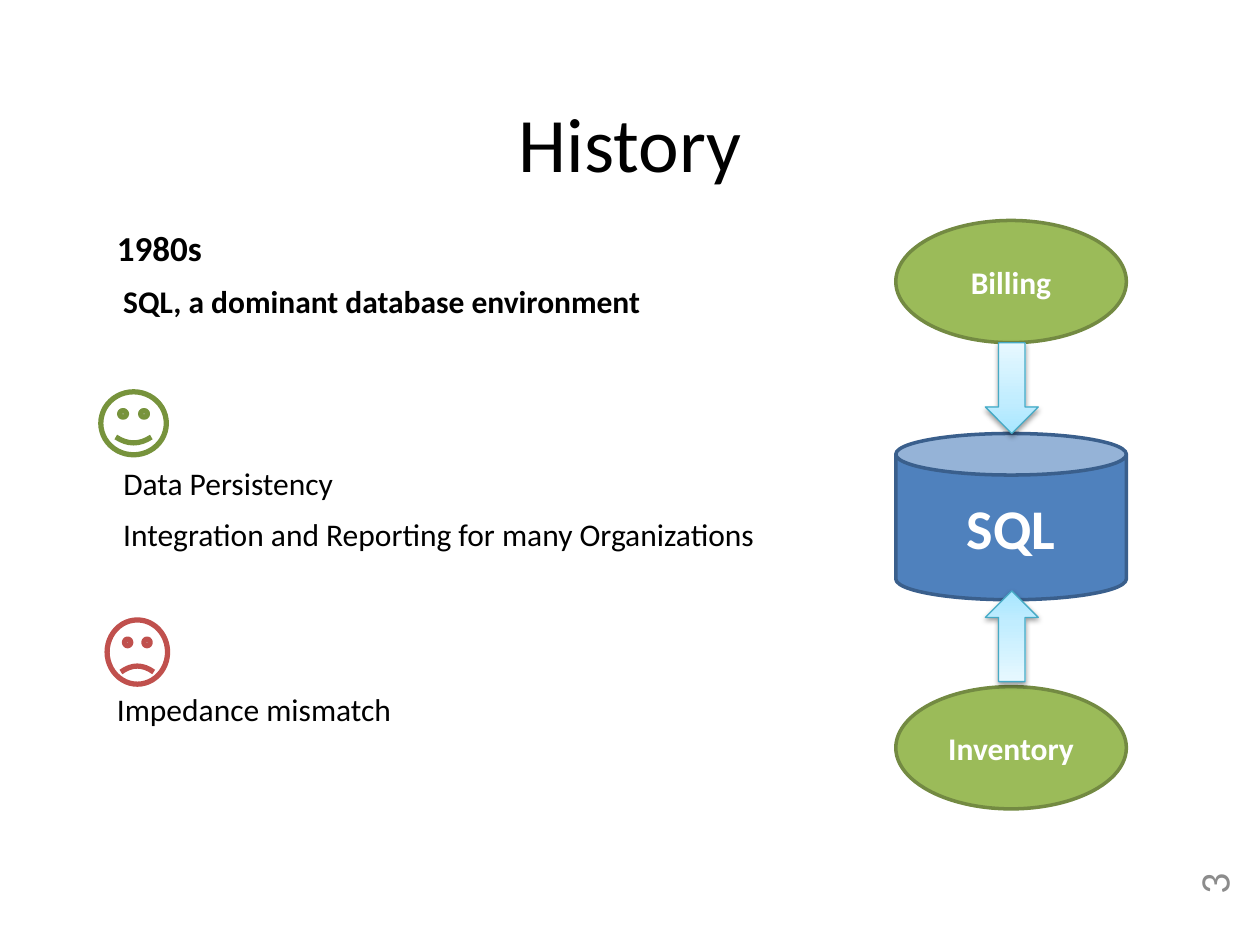
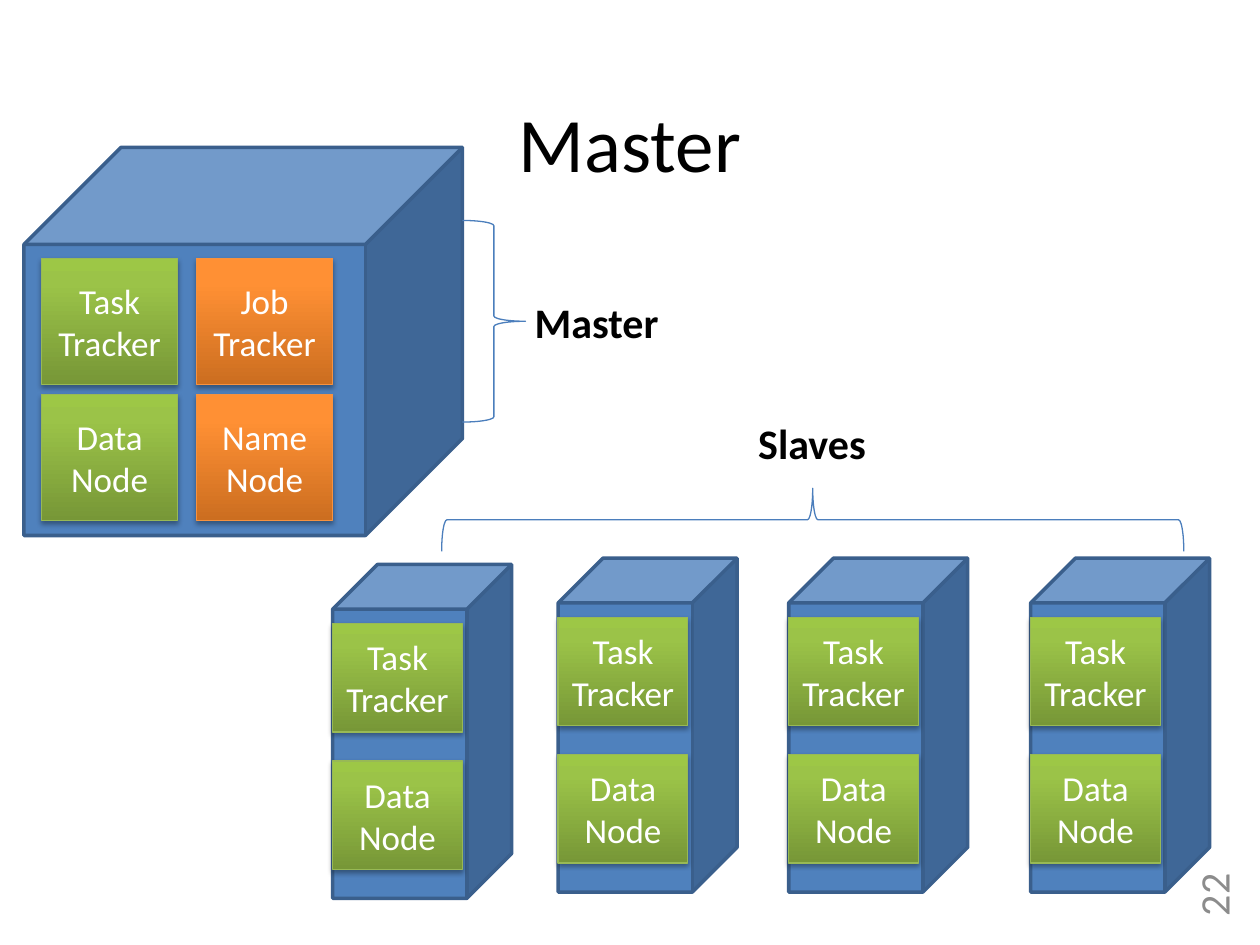
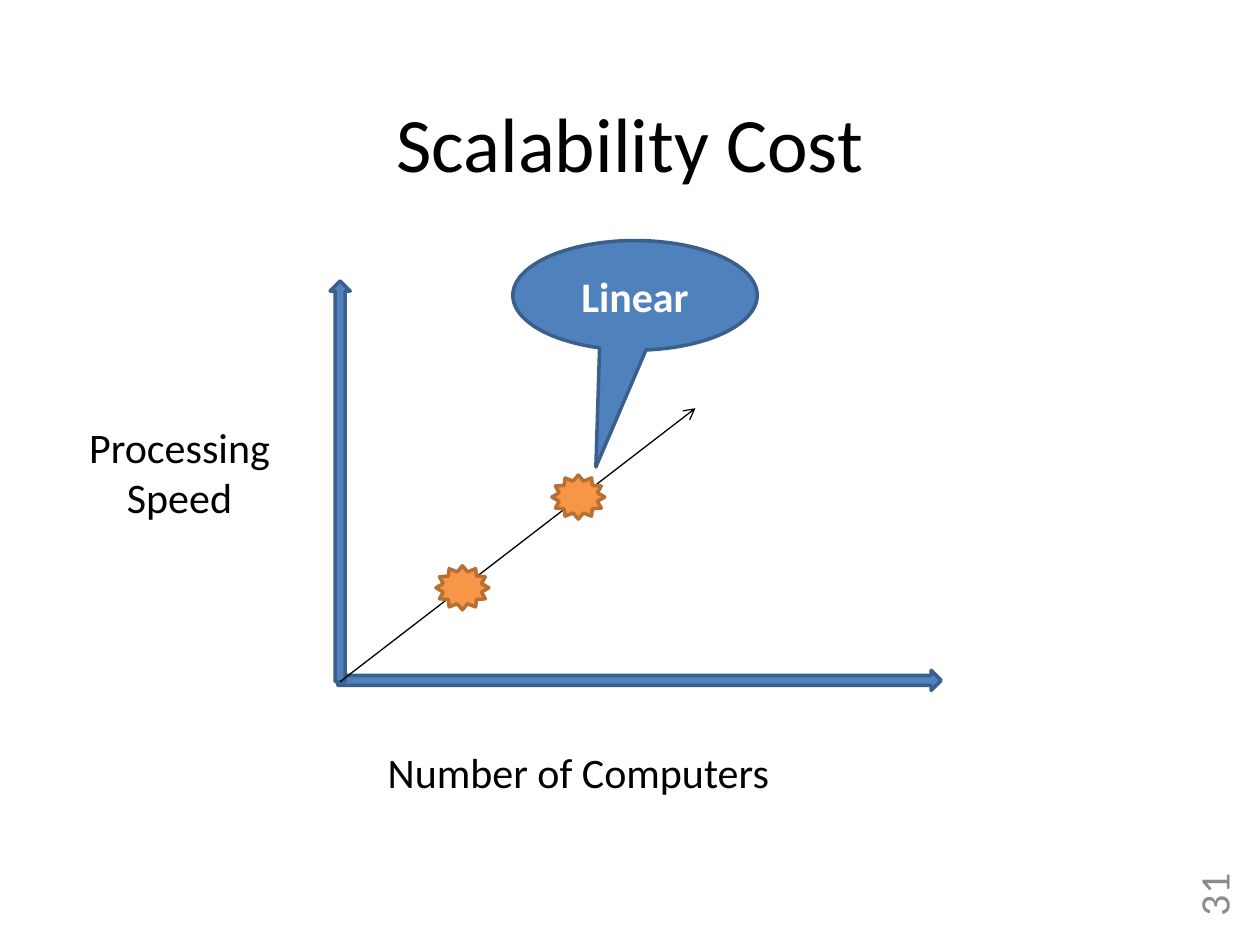
from dataclasses import dataclass
from typing import Any, NamedTuple

from lxml.etree import SubElement
from pptx import Presentation
from pptx.dml.color import RGBColor
from pptx.enum.shapes import MSO_CONNECTOR, MSO_SHAPE
from pptx.enum.text import MSO_ANCHOR, MSO_AUTO_SIZE, PP_ALIGN
from pptx.oxml.ns import qn
from pptx.util import Inches, Pt


class Box(NamedTuple):
    left: float
    top: float
    width: float
    height: float


class Stop(NamedTuple):
    percent: int
    color: str


@dataclass(frozen=True)
class Look:
    line: str
    weight: float
    fill: str | tuple[Stop, ...] | None = None
    shadow_percent: int = 0


@dataclass(frozen=True)
class TextStyle:
    size: int
    color: str = "000000"
    bold: bool = False
    align: PP_ALIGN = PP_ALIGN.CENTER
    anchor: MSO_ANCHOR = MSO_ANCHOR.MIDDLE


@dataclass(frozen=True)
class Theme:
    font: str = "Calibri"
    title: TextStyle = TextStyle(44)
    number: TextStyle = TextStyle(24, "8C8C8C", align=PP_ALIGN.RIGHT)
    heading: TextStyle = TextStyle(20, bold=True, align=PP_ALIGN.LEFT, anchor=MSO_ANCHOR.TOP)
    strong: TextStyle = TextStyle(18, bold=True, align=PP_ALIGN.LEFT, anchor=MSO_ANCHOR.TOP)
    body: TextStyle = TextStyle(18, align=PP_ALIGN.LEFT, anchor=MSO_ANCHOR.TOP)
    label: TextStyle = TextStyle(24)
    strong_label: TextStyle = TextStyle(24, bold=True)
    database: TextStyle = TextStyle(32, "FFFFFF", True)
    callout: TextStyle = TextStyle(24, "FFFFFF", True)
    application: TextStyle = TextStyle(18, "FFFFFF", True)
    tile: TextStyle = TextStyle(20, "FFFFFF")
    blue: Look = Look("3A5F8C", 2, "4F81BD")
    green: Look = Look("738A42", 2, "9BBB59")
    orange: Look = Look("B76F34", 2, "F79646")
    happy: Look = Look("77933C", 3, "FFFFFF")
    sad: Look = Look("C0504D", 3, "FFFFFF")
    brace: Look = Look("4B7EBC", 0.75)
    flow: Look = Look(
        "46AAC5", 0.75, (Stop(0, "A7E6FF"), Stop(35, "C1EDFF"), Stop(100, "E7F8FF")), 38)
    green_tile: Look = Look(
        "98B955", 0.75, (Stop(0, "779737"), Stop(80, "9BC348"), Stop(100, "9DC746")), 35)
    orange_tile: Look = Look(
        "F69240", 0.75, (Stop(0, "CC6E20"), Stop(80, "FF9034"), Stop(100, "FF9136")), 35)
    trend: str = "000000"


THEME = Theme()
TITLE_BOX = Box(0.5, 0.5, 9, 1.25)
NUMBER_BOX = Box(9.29, 6.96, 0.67, 0.42)


def apply(target: Any, values: dict[str, Any]) -> None:
    for name, value in values.items():
        setattr(target, name, value)


def place(shape: Any, box: Box) -> None:
    apply(shape, {name: Inches(value) for name, value in box._asdict().items()})


def write(shape: Any, text: str, style: TextStyle, **frame_values: Any) -> None:
    frame = shape.text_frame
    apply(frame, {"text": text, "word_wrap": True, "vertical_anchor": style.anchor}
          | frame_values)
    paragraph = frame.paragraphs[0]
    paragraph.alignment = style.align
    font = paragraph.runs[0].font
    apply(font, {"name": THEME.font, "size": Pt(style.size), "bold": style.bold})
    font.color.rgb = RGBColor.from_string(style.color)


def add_color(parent: Any, color: str) -> Any:
    return SubElement(parent, qn("a:srgbClr"), val=color)


def fill_gradient(shape: Any, stops: tuple[Stop, ...]) -> None:
    """Fill from the bottom edge (0 percent) to the top edge."""
    shape.fill.gradient()
    shape.fill.gradient_angle = 90
    stop_list = shape._element.spPr.find(f"{qn('a:gradFill')}/{qn('a:gsLst')}")
    for old_stop in list(stop_list):
        stop_list.remove(old_stop)
    for stop in stops:
        add_color(SubElement(stop_list, qn("a:gs"), pos=str(stop.percent * 1000)), stop.color)


def add_shadow(shape: Any, percent: int) -> None:
    effects = shape._element.spPr.find(qn("a:effectLst"))
    shadow = SubElement(effects, qn("a:outerShdw"), blurRad=str(Pt(3.1)), dist=str(Pt(1.7)),
                        dir="5400000", rotWithShape="0")
    SubElement(add_color(shadow, "000000"), qn("a:alpha"), val=str(percent * 1000))


def add_figure(parent: Any, kind: MSO_SHAPE, box: Box, look: Look,
               rotation: float = 0, adjustments: tuple[float, ...] = ()) -> Any:
    shape = parent.shapes.add_shape(kind, *map(Inches, box))
    shape.rotation = rotation
    for index, value in enumerate(adjustments):
        shape.adjustments[index] = value
    if look.fill is None:
        shape.fill.background()
    elif isinstance(look.fill, str):
        shape.fill.solid()
        shape.fill.fore_color.rgb = RGBColor.from_string(look.fill)
    else:
        fill_gradient(shape, look.fill)
    shape.line.color.rgb = RGBColor.from_string(look.line)
    shape.line.width = Pt(look.weight)
    shape.shadow.inherit = False
    if look.shadow_percent:
        add_shadow(shape, look.shadow_percent)
    return shape


def add_text(slide: Any, text: str, box: Box, style: TextStyle, **frame_values: Any) -> Any:
    shape = slide.shapes.add_textbox(*map(Inches, box))
    write(shape, text, style, **frame_values)
    return shape


def add_slide(presentation: Any, title: str, number: int) -> Any:
    slide = presentation.slides.add_slide(presentation.slide_layouts.get_by_name("Title Only"))
    place(slide.shapes.title, TITLE_BOX)
    write(slide.shapes.title, title, THEME.title)
    add_text(slide, str(number), NUMBER_BOX, THEME.number).rotation = 270
    return slide


def add_tile(group: Any, text: str, box: Box, look: Look) -> None:
    tile = add_figure(group, MSO_SHAPE.RECTANGLE, box, look)
    write(tile, text, THEME.tile, margin_left=Inches(0.05), margin_right=Inches(0.05))


def build_history(presentation: Any) -> None:
    slide = add_slide(presentation, "History", 3)
    add_text(slide, "1980s", Box(0.83, 1.75, 8.25, 0.44), THEME.heading)
    for text, box, style in (
        ("SQL, a dominant database environment", Box(0.88, 2.19, 4.34, 0.4), THEME.strong),
        ("Data Persistency", Box(0.88, 3.63, 1.88, 0.4), THEME.body),
        ("Integration and Reporting for many Organizations",
         Box(0.88, 4.04, 5.27, 0.4), THEME.body),
        ("Impedance mismatch", Box(0.83, 5.43, 2.4, 0.4), THEME.body),
    ):
        add_text(slide, text, box, style, word_wrap=False,
                 auto_size=MSO_AUTO_SIZE.SHAPE_TO_FIT_TEXT)
    add_figure(slide, MSO_SHAPE.SMILEY_FACE, Box(0.8, 3.11, 0.52, 0.5), THEME.happy)
    add_figure(slide, MSO_SHAPE.SMILEY_FACE, Box(0.85, 4.92, 0.48, 0.51), THEME.sad,
               adjustments=(-0.047,))

    database = add_figure(slide, MSO_SHAPE.CAN, Box(7.11, 3.44, 1.83, 1.32), THEME.blue)
    write(database, "SQL", THEME.database)
    for text, top, arrow_top, rotation in (("Billing", 1.75, 2.72, 0),
                                           ("Inventory", 5.45, 4.69, 180)):
        application = add_figure(slide, MSO_SHAPE.OVAL, Box(7.11, top, 1.83, 0.97), THEME.green)
        write(application, text, THEME.application)
        add_figure(slide, MSO_SHAPE.DOWN_ARROW, Box(7.82, arrow_top, 0.42, 0.72),
                   THEME.flow, rotation)


def add_slave(slide: Any, left: float, top: float) -> None:
    group = slide.shapes.add_group_shape()
    add_figure(group, MSO_SHAPE.CUBE, Box(left, top, 1.42, 2.65), THEME.blue)
    for row, text in enumerate(("Task Tracker", "Data Node")):
        add_tile(group, text, Box(left, top + 0.47 + row * 1.09, 1.03, 0.86), THEME.green_tile)


def add_master(slide: Any) -> None:
    group = slide.shapes.add_group_shape()
    add_figure(group, MSO_SHAPE.CUBE, Box(0.19, 1.17, 3.48, 3.08), THEME.blue)
    columns = ((THEME.green_tile, ("Task Tracker", "Data Node")),
               (THEME.orange_tile, ("Job Tracker", "Name Node")))
    for column, (look, texts) in enumerate(columns):
        for row, text in enumerate(texts):
            add_tile(group, text, Box(0.33 + column * 1.23, 2.05 + row * 1.08, 1.08, 1), look)


def build_master(presentation: Any) -> None:
    slide = add_slide(presentation, "Master", 22)
    for left, top in ((2.64, 4.48), (4.43, 4.43), (6.26, 4.43), (8.18, 4.43)):
        add_slave(slide, left, top)
    add_master(slide)
    for text, text_box, brace_box, rotation in (
        ("Slaves", Box(4.33, 3.14, 4.23, 0.75), Box(6.2, 1.18, 0.5, 5.89), 270),
        ("Master", Box(2.62, 2.18, 4.23, 0.75), Box(3.67, 1.75, 0.5, 1.6), 0),
    ):
        add_figure(slide, MSO_SHAPE.RIGHT_BRACE, brace_box, THEME.brace, rotation)
        add_text(slide, text, text_box, THEME.strong_label)


def add_trend_arrow(slide: Any, start: tuple[float, float], end: tuple[float, float]) -> None:
    connector = slide.shapes.add_connector(MSO_CONNECTOR.STRAIGHT, *map(Inches, start + end))
    connector.line.color.rgb = RGBColor.from_string(THEME.trend)
    connector.line.width = Pt(0.75)
    SubElement(connector.line._get_or_add_ln(), qn("a:tailEnd"), type="arrow")
    SubElement(connector._element.spPr, qn("a:effectLst"))


def build_scalability(presentation: Any) -> None:
    slide = add_slide(presentation, "Scalability Cost", 31)
    callout = add_figure(slide, MSO_SHAPE.OVAL_CALLOUT, Box(4.07, 1.91, 1.94, 0.87),
                         THEME.blue, adjustments=(-0.16, 1.565))
    write(callout, "Linear", THEME.callout)
    add_text(slide, "Processing Speed", Box(0.45, 3, 1.95, 1.49), THEME.label)
    add_text(slide, "Number of Computers", Box(2.68, 5.75, 3.82, 0.75), THEME.label)
    axes = slide.shapes.add_group_shape()
    for box, rotation in ((Box(2.68, 5.32, 4.79, 0.16), 0), (Box(1.11, 3.74, 3.18, 0.16), 270)):
        add_figure(axes, MSO_SHAPE.RIGHT_ARROW, box, THEME.blue, rotation)
    add_trend_arrow(slide, (2.7, 5.41), (5.52, 3.24))
    for left, top in ((3.46, 4.49), (4.38, 3.77)):
        add_figure(slide, MSO_SHAPE.STAR_12_POINT, Box(left, top, 0.42, 0.35), THEME.orange)


def main() -> None:
    presentation = Presentation()
    apply(presentation, {"slide_width": Inches(10), "slide_height": Inches(7.5)})
    build_history(presentation)
    build_master(presentation)
    build_scalability(presentation)
    presentation.save("out.pptx")


if __name__ == "__main__":
    main()
